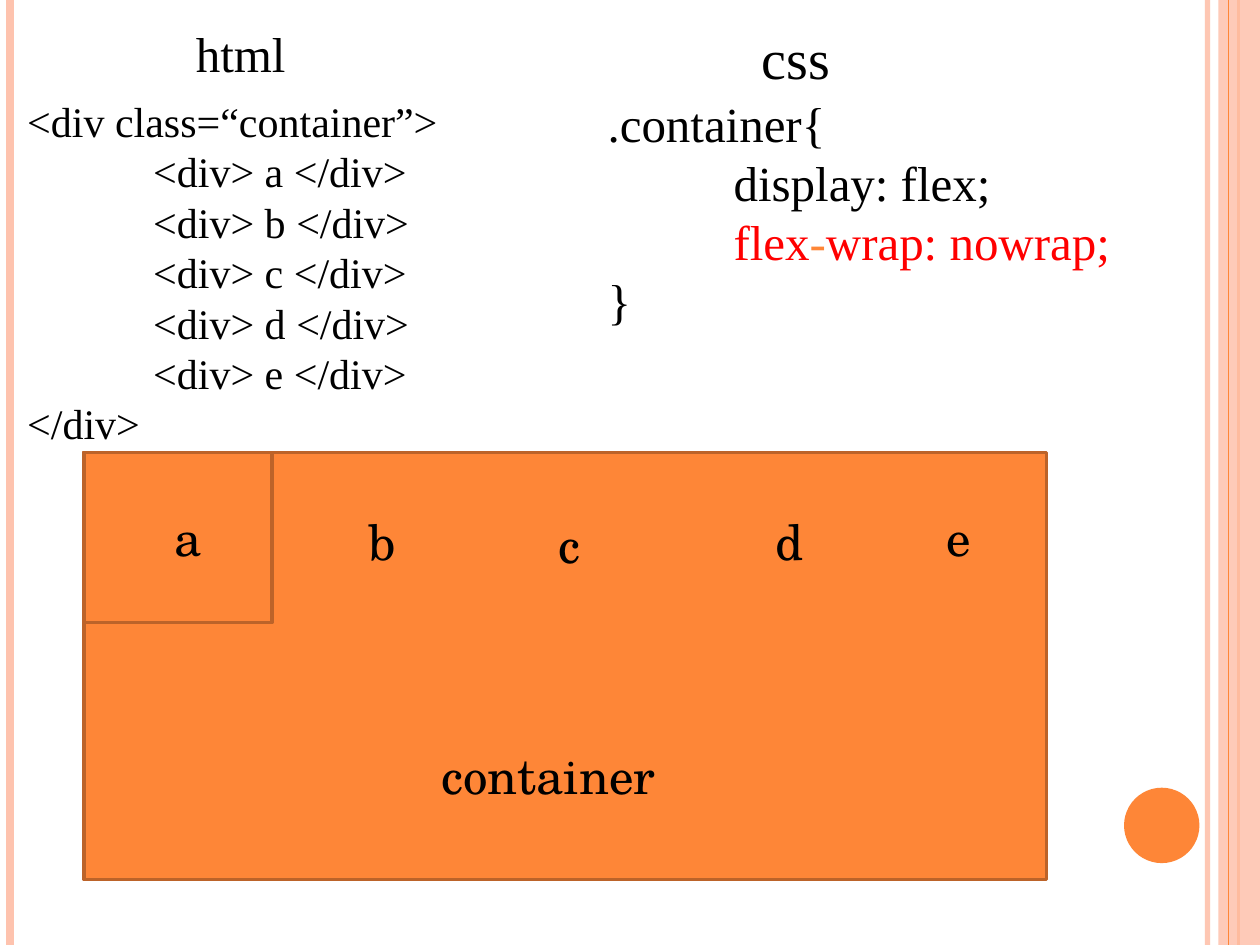
from lxml.etree import SubElement
from pptx import Presentation
from pptx.dml.color import RGBColor
from pptx.enum.shapes import MSO_CONNECTOR, MSO_SHAPE
from pptx.oxml.ns import qn
from pptx.util import Cm, Pt

COLORS = {
    "text": "000000",
    "red": "FF0000",
    "main": "FE8637",
    "edge": "BC6329",
    "pale": "FEC3AE",
}
SERIF = "Times New Roman"
BOOK = "TeX Gyre Schola"
WIDE, HIGH = 25.4, 19.05
TAB = 2.54


def tint(name):
    return RGBColor.from_string(COLORS[name])


def fade(fill, share):
    """Set the opacity of a solid fill, in percent."""
    color = fill._xPr.find(qn("a:solidFill"))[0]
    SubElement(color, qn("a:alpha"), val=str(share * 1000))


def add_rule(slide, x, color, width, share=100):
    """Draw a vertical line over the full height of the slide."""
    rule = slide.shapes.add_connector(
        MSO_CONNECTOR.STRAIGHT, Cm(x), Cm(0), Cm(x), Cm(HIGH))
    rule.line.color.rgb = tint(color)
    rule.line.width = Pt(width)
    if share < 100:
        fade(rule.line.fill, share)
    SubElement(rule._element.spPr, qn("a:effectLst"))


def add_block(slide, kind, box, fill, edge=None):
    block = slide.shapes.add_shape(kind, *map(Cm, box))
    block.shadow.inherit = False
    block.fill.solid()
    block.fill.fore_color.rgb = tint(fill)
    if edge:
        block.line.color.rgb = tint(edge)
        block.line.width = Pt(2)
    else:
        block.line.fill.background()
    return block


def set_tab(para):
    """Give a paragraph one left tab stop."""
    tabs = SubElement(para._p.get_or_add_pPr(), qn("a:tabLst"))
    SubElement(tabs, qn("a:tab"), pos=str(Cm(TAB)), algn="l")


def add_text(slide, box, lines, size, font):
    """Each line is a string, or a list of (text, color) parts."""
    frame = slide.shapes.add_textbox(*map(Cm, box)).text_frame
    frame.word_wrap = True
    for i, line in enumerate(lines):
        para = frame.add_paragraph() if i else frame.paragraphs[0]
        parts = [(line, "text")] if isinstance(line, str) else line
        if parts[0][0].startswith("\t"):
            set_tab(para)
        for text, color in parts:
            run = para.add_run()
            run.text = text
            run.font.size = Pt(size)
            run.font.name = font
            run.font.color.rgb = tint(color)


def add_frame(slide):
    """Side bands and the round badge."""
    add_rule(slide, 24.34, "pale", 3, 93)
    add_rule(slide, 0.21, "pale", 4.5)
    add_rule(slide, 24.97, "main", 1.5)
    band = add_block(slide, MSO_SHAPE.RECTANGLE,
                     (24.56, 0, WIDE - 24.56, HIGH), "pale")
    fade(band.fill, 87)
    add_rule(slide, 24.77, "main", 0.75)
    add_block(slide, MSO_SHAPE.OVAL, (22.66, 15.88, 1.52, 1.52), "main")


def add_code(slide, box, lines, size, head, shift, scale):
    """Code listing with its heading above."""
    left, top, _, _ = box
    add_text(slide, box, lines, size, SERIF)
    add_text(slide, (left + shift, 0.34, 5.59, top - 0.34),
             [head], scale, SERIF)


def add_demo(slide, box):
    """Container box with its five items in a row."""
    left, top, _, _ = box
    add_block(slide, MSO_SHAPE.RECTANGLE, box, "main", "edge")
    add_block(slide, MSO_SHAPE.RECTANGLE, (left, top, 3.8, 3.43),
              "main", "edge")
    spots = {"a": (1.57, 0.99), "b": (5.48, 1.07), "c": (9.31, 1.13),
             "d": (13.7, 1.07), "e": (17.14, 0.99)}
    for name, (x, y) in spots.items():
        add_text(slide, (left + x, top + y, 0.79, 1.45), [name], 28, BOOK)
    add_text(slide, (left + 6.96, top + 5.79, 6.53, 1.45),
             ["container"], 28, BOOK)


def main():
    deck = Presentation()
    deck.slide_width, deck.slide_height = Cm(WIDE), Cm(HIGH)
    slide = deck.slides.add_slide(deck.slide_layouts[6])

    add_frame(slide)
    add_demo(slide, (1.69, 9.12, 19.41, 8.61))

    items = [f"\t<div> {name} </div>" for name in "abcde"]
    html = ["<div class=“container”>", *items, "</div>"]
    add_code(slide, (0.3, 1.8, 11.71, 7.44), html, 24, "html", 3.4, 28)

    wrap = [("\t", "text"), ("flex", "red"), ("-", "main"),
            ("wrap: nowrap;", "red")]
    css = [".container{", "\tdisplay: flex;", wrap, "}"]
    add_code(slide, (12, 1.77, 10.8, 5.05), css, 28, "css", 3.1, 32)

    deck.save("out.pptx")


if __name__ == "__main__":
    main()
